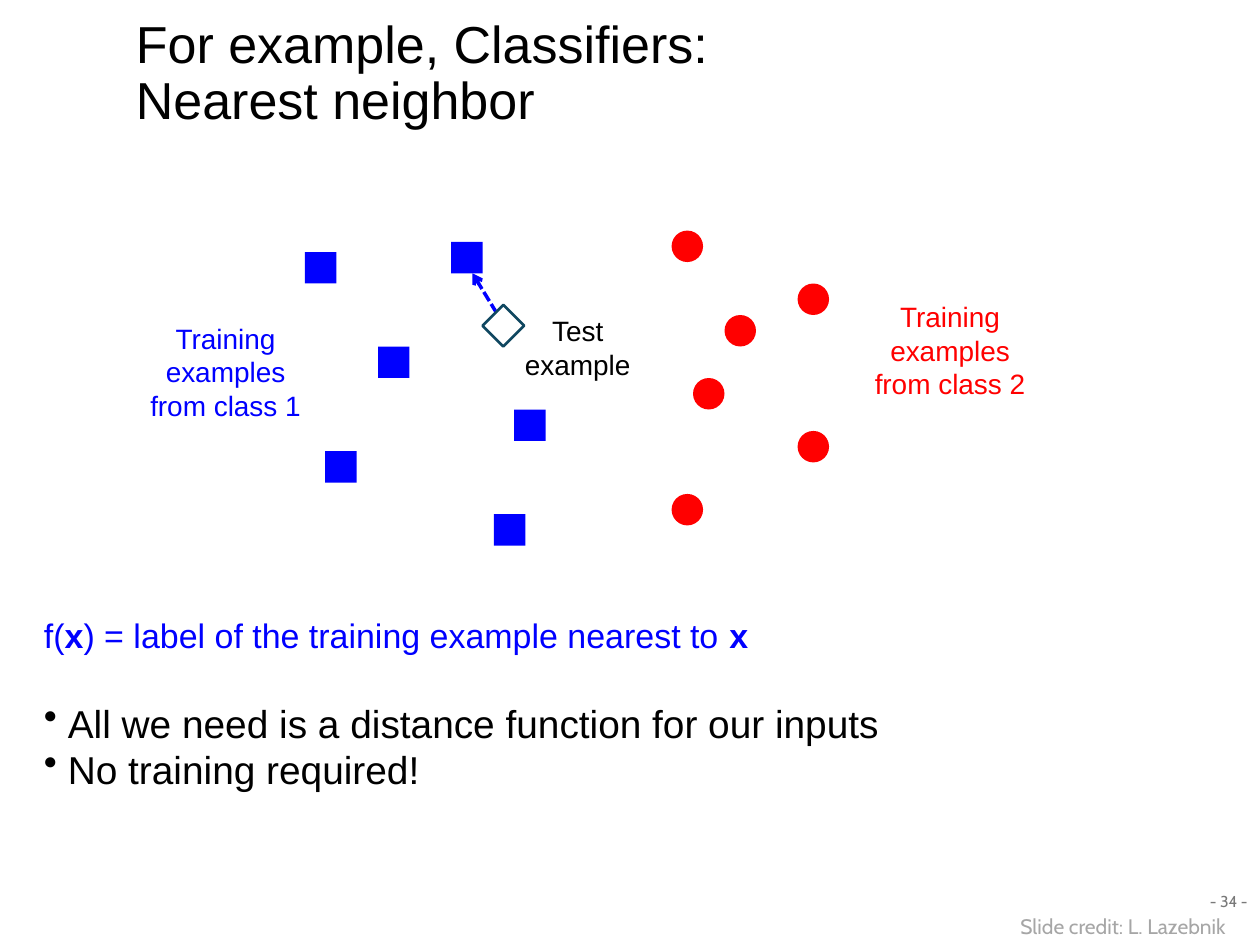
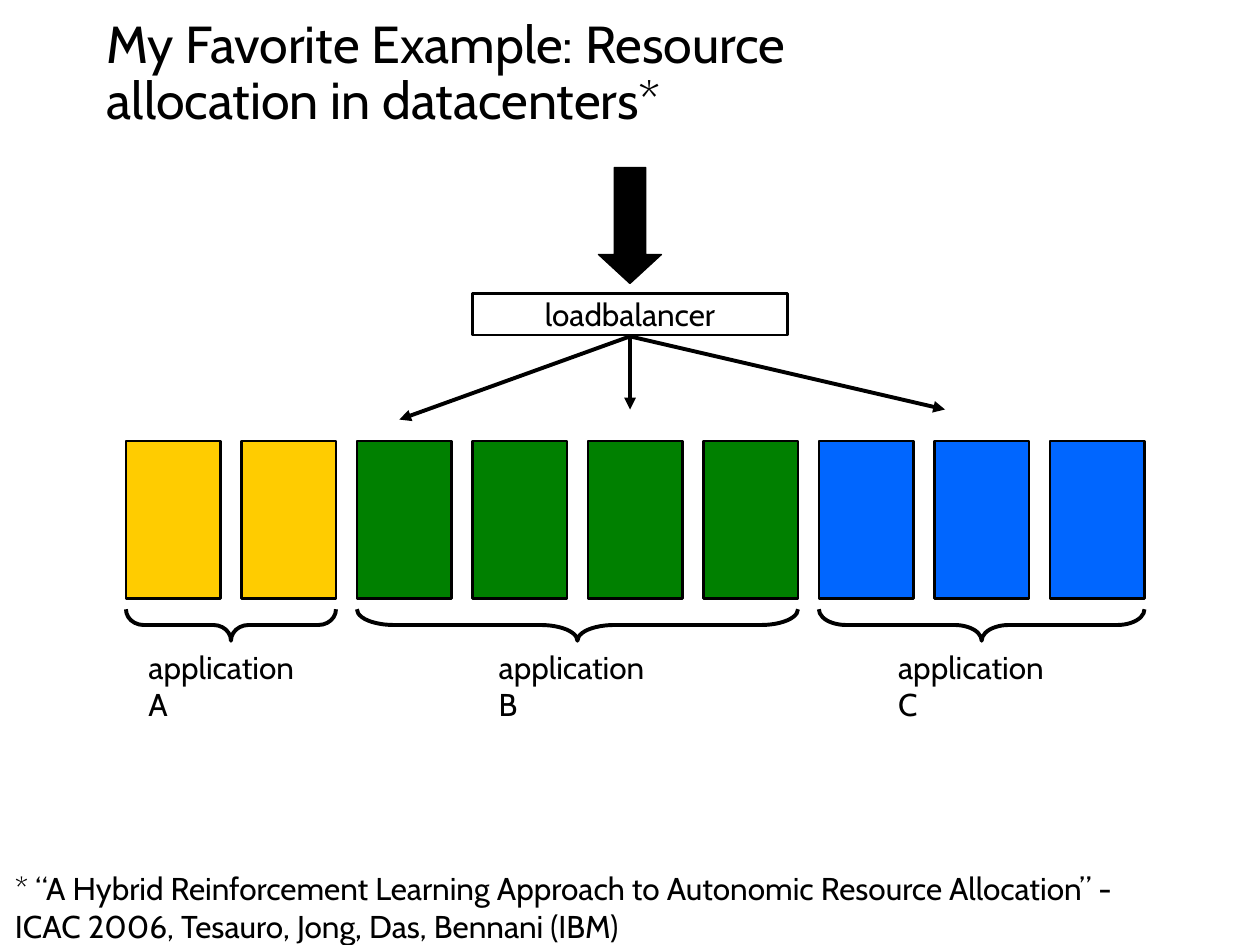
from dataclasses import dataclass

import pptx
import pptx.dml.color
import pptx.enum.dml
import pptx.enum.shapes
import pptx.enum.text
import pptx.oxml
import pptx.oxml.ns
import pptx.util
from lxml import etree

Inches = pptx.util.Inches
Pt = pptx.util.Pt
Shape = pptx.enum.shapes.MSO_SHAPE
Align = pptx.enum.text.PP_ALIGN
Anchor = pptx.enum.text.MSO_ANCHOR
qn = pptx.oxml.ns.qn


@dataclass(frozen=True)
class Theme:
    black: str = "000000"
    white: str = "FFFFFF"
    class_1: str = "0000FF"
    class_2: str = "FF0000"
    test_edge: str = "104760"
    application_a: str = "FFCC00"
    application_b: str = "008000"
    application_c: str = "0066FF"
    number: str = "797979"
    credit: str = "A6A6A6"
    plain_font: str = "Arial"
    main_font: str = "Cabin"
    title_size: float = 29.7
    bullet_size: float = 22.2
    formula_size: float = 19.4
    label_size: float = 18
    example_size: float = 16
    credit_size: float = 12
    number_size: float = 9


THEME = Theme()


def rgb(color):
    return pptx.dml.color.RGBColor.from_string(color)


def add_paragraph(para, spans, size=THEME.label_size, font=THEME.main_font,
                  color=THEME.black, align=Align.LEFT, spacing=None,
                  before=None, hanging=0, bullet=None):
    """Fill a paragraph; spans is a string or a list of (text, bold) pairs."""
    if hanging:
        properties = para._p.get_or_add_pPr()
        properties.set("marL", str(Inches(hanging)))
        properties.set("indent", str(-Inches(hanging)))
        if bullet:
            etree.SubElement(properties, qn("a:buChar")).set("char", bullet)
    para.alignment = align
    if spacing:
        para.line_spacing = spacing
    if before:
        para.space_before = Pt(before)
    if isinstance(spans, str):
        spans = [(spans, False)]
    for text, bold in spans:
        span = para.add_run()
        span.text = text
        span.font.name = font
        span.font.size = Pt(size)
        span.font.bold = bold
        span.font.color.rgb = rgb(color)


class SlideBuilder:
    """Holds the theme, the deck and the slide being drawn."""

    def __init__(self, theme):
        self.theme = theme
        self.deck = pptx.Presentation()
        self.deck.slide_width = Inches(10)
        self.deck.slide_height = Inches(7.5)
        self.slide = None

    def new_slide(self, title, left, width, font):
        self.slide = self.deck.slides.add_slide(self.deck.slide_layouts[6])
        self.text(title, left, 0.13, width, 0.92, anchor=Anchor.MIDDLE,
                  size=self.theme.title_size, font=font, spacing=0.9)

    def box(self, left, top, width, height, anchor=Anchor.TOP, wrap=True):
        box = self.slide.shapes.add_textbox(
            Inches(left), Inches(top), Inches(width), Inches(height))
        box.text_frame.word_wrap = wrap
        box.text_frame.vertical_anchor = anchor
        return box

    def text(self, spans, left, top, width, height, anchor=Anchor.TOP,
             wrap=True, **style):
        box = self.box(left, top, width, height, anchor, wrap)
        add_paragraph(box.text_frame.paragraphs[0], spans, **style)

    def shape(self, kind, left, top, width, height, fill=None, line=None,
              weight=1.5, adjustments=(), rotation=0):
        shape = self.slide.shapes.add_shape(
            kind, Inches(left), Inches(top), Inches(width), Inches(height))
        shape.shadow.inherit = False
        shape.rotation = rotation
        for index, value in enumerate(adjustments):
            shape.adjustments[index] = value
        if fill:
            shape.fill.solid()
            shape.fill.fore_color.rgb = rgb(fill)
        else:
            shape.fill.background()
        if line:
            shape.line.color.rgb = rgb(line)
            shape.line.width = Pt(weight)
        else:
            shape.line.fill.background()
        return shape

    def arrow(self, start, end, color, weight, head="triangle", dash=None):
        arrow = self.slide.shapes.add_connector(
            pptx.enum.shapes.MSO_CONNECTOR.STRAIGHT,
            *(Inches(value) for value in (*start, *end)))
        arrow.line.color.rgb = rgb(color)
        arrow.line.width = Pt(weight)
        if dash:
            arrow.line.dash_style = dash
        properties = arrow._element.spPr
        outline = properties.find(qn("a:ln"))
        etree.SubElement(outline, qn("a:tailEnd")).set("type", head)
        etree.SubElement(properties, qn("a:effectLst"))


def nearest_neighbor_slide(builder):
    theme = builder.theme
    builder.new_slide("For example, Classifiers: Nearest neighbor",
                      0.98, 6.21, theme.plain_font)

    # Formula and bullets
    body = builder.box(0.25, 4.92, 9.5, 1.45).text_frame
    layout = dict(font=theme.plain_font, spacing=0.7, hanging=0.19)
    formula = [("f(", False), ("x", True),
               (") = label of the training example nearest to ", False),
               ("x", True)]
    add_paragraph(body.paragraphs[0], formula, size=theme.formula_size,
                  color=theme.class_1, **layout)
    bullets = [("All we need is a distance function for our inputs", 33),
               ("No training required!", 7.5)]
    for bullet_text, before in bullets:
        add_paragraph(body.add_paragraph(), bullet_text, bullet="•",
                      size=theme.bullet_size, before=before, **layout)

    # Training examples of both classes
    class_1_points = [(2.42, 2), (3, 2.75), (3.58, 1.92),
                      (2.58, 3.58), (4.08, 3.25), (3.92, 4.08)]
    class_2_points = [(6.33, 2.25), (5.5, 3), (6.33, 3.42),
                      (5.33, 1.83), (5.75, 2.5), (5.33, 3.92)]
    for kind, color, points in (
            (Shape.RECTANGLE, theme.class_1, class_1_points),
            (Shape.OVAL, theme.class_2, class_2_points)):
        for left, top in points:
            builder.shape(kind, left, top, 0.25, 0.25, fill=color)

    # Labels
    for label, left, top, width, height, color in (
            ("Test example", 4, 2.44, 1.17, 0.64, theme.black),
            ("Training examples from class 1", 1.08, 2.5, 1.42, 0.91,
             theme.class_1),
            ("Training examples from class 2", 6.83, 2.33, 1.42, 0.91,
             theme.class_2)):
        builder.text(label, left, top, width, height, color=color,
                     size=theme.example_size, font=theme.plain_font,
                     align=Align.CENTER)

    # Test example and its nearest neighbor
    builder.arrow((4, 2.58), (3.75, 2.17), theme.class_1, 2, head="arrow",
                  dash=pptx.enum.dml.MSO_LINE.SQUARE_DOT)
    builder.shape(Shape.DIAMOND, 3.83, 2.42, 0.33, 0.33,
                  fill=theme.white, line=theme.test_edge)

    # Slide number and credit
    builder.text("- 34 -", 7.75, 6.95, 2.25, 0.4, anchor=Anchor.MIDDLE,
                 size=theme.number_size, color=theme.number,
                 align=Align.RIGHT)
    builder.text("Slide credit: L. Lazebnik", 8, 7.2, 1.98, 0.3, wrap=False,
                 size=theme.credit_size, color=theme.credit)


def datacenter_slide(builder):
    theme = builder.theme
    builder.new_slide("My Favorite Example: Resource allocation in datacenters*",
                      0.75, 6.5, theme.main_font)

    # Servers, braces and labels by application
    server_width, server_pitch = 0.75, 11 / 12
    brace_depth, brace_middle = 0.25, 4.96
    left = 1
    for name, count, color, label_left in (
            ("A", 2, theme.application_a, 1.08),
            ("B", 4, theme.application_b, 3.86),
            ("C", 3, theme.application_c, 7.03)):
        for index in range(count):
            builder.shape(Shape.RECTANGLE, left + index * server_pitch, 3.5,
                          server_width, 1.25, fill=color, line=theme.black)
        span = (count - 1) * server_pitch + server_width
        builder.shape(Shape.LEFT_BRACE, left + (span - brace_depth) / 2,
                      brace_middle - span / 2, brace_depth, span,
                      line=theme.black, weight=2.25, rotation=270,
                      adjustments=(span / 3, 0.5))
        builder.text(f"application {name}", label_left, 5.09, 1.47, 0.37)
        left += count * server_pitch

    # Load balancer with incoming and outgoing requests
    balancer = builder.shape(Shape.RECTANGLE, 3.75, 2.33, 2.5, 0.33,
                             line=theme.black)
    balancer.text_frame.word_wrap = False
    balancer.text_frame.vertical_anchor = Anchor.MIDDLE
    add_paragraph(balancer.text_frame.paragraphs[0], "loadbalancer",
                  align=Align.CENTER)
    builder.shape(Shape.DOWN_ARROW, 4.75, 1.33, 0.5, 0.92, fill=theme.black,
                  line=theme.black, weight=0.75, adjustments=(0.5, 0.46))
    for target in ((3.17, 3.33), (5, 3.25), (7.5, 3.25)):
        builder.arrow((5, 2.67), target, theme.black, 2.25)

    # Footnote
    builder.text("* “A Hybrid Reinforcement Learning Approach to Autonomic "
                 "Resource Allocation” - ICAC 2006, Tesauro, Jong, Das, "
                 "Bennani (IBM)", 0.02, 6.85, 9, 0.71)


def main():
    builder = SlideBuilder(THEME)
    nearest_neighbor_slide(builder)
    datacenter_slide(builder)
    builder.deck.save("out.pptx")


if __name__ == "__main__":
    main()
